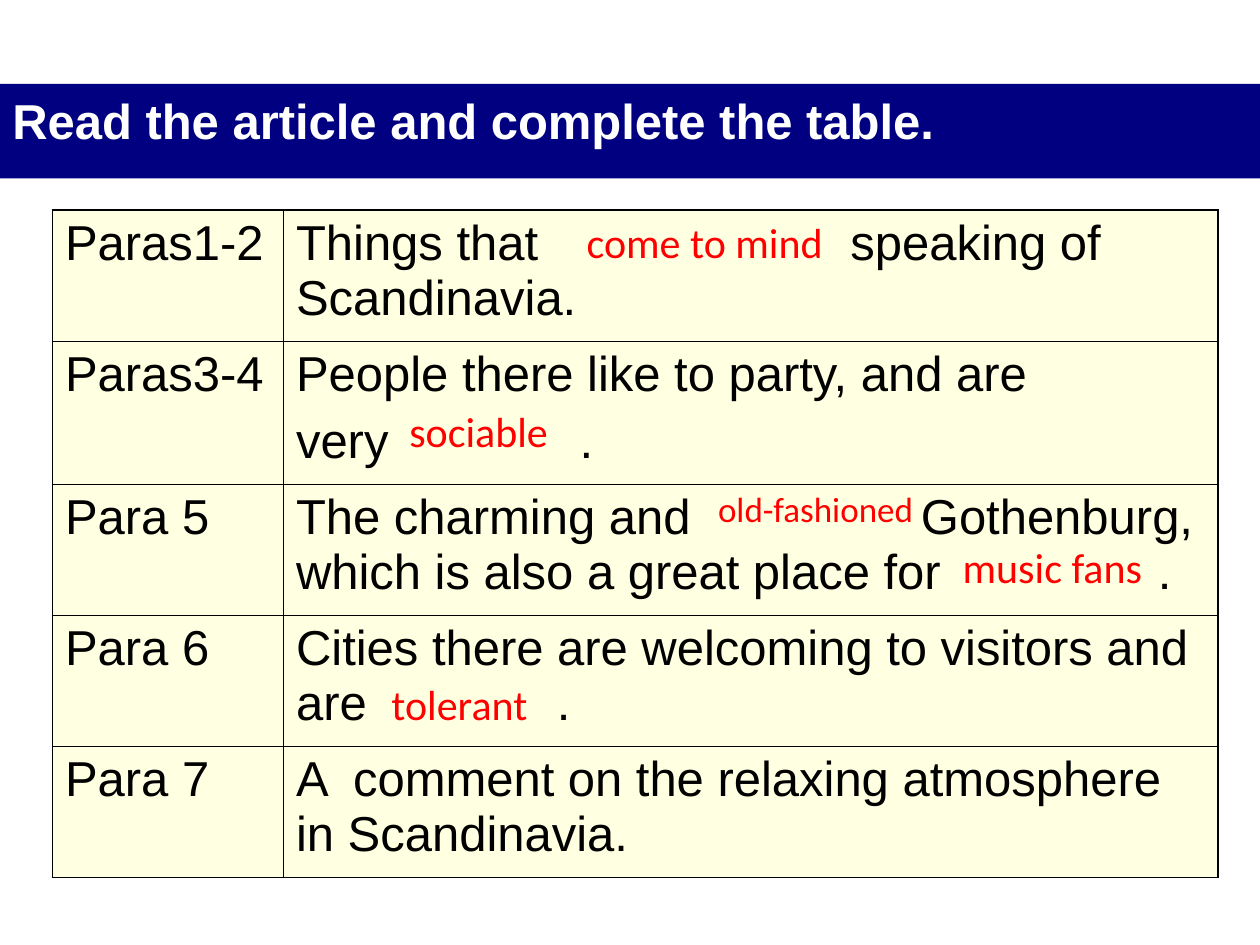
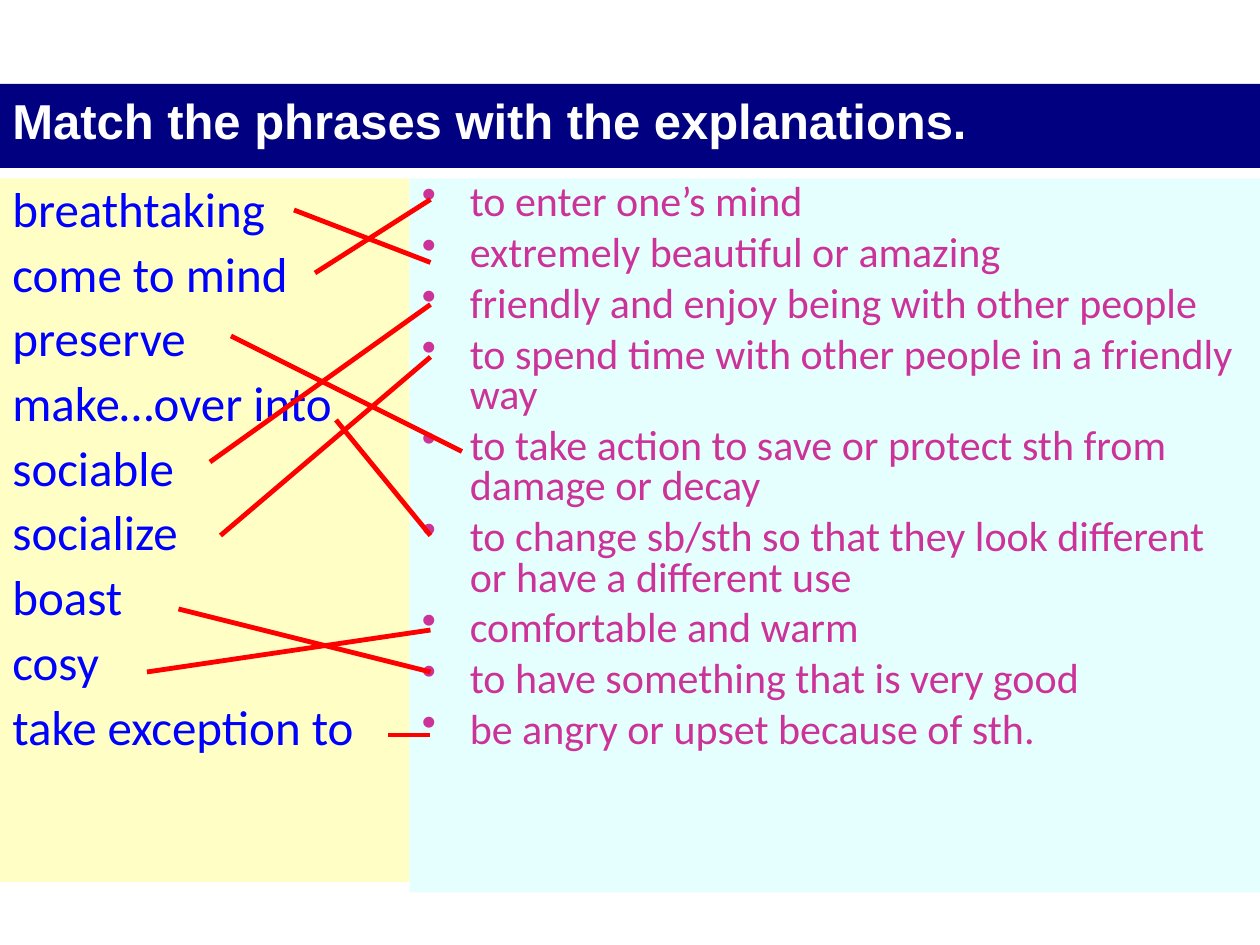
from dataclasses import dataclass

from lxml import etree
from pptx import Presentation
from pptx import util as u
from pptx.dml import color
from pptx.enum import shapes, text
from pptx.oxml import ns


@dataclass(frozen=True)
class Theme:
    navy: str = "000080"
    white: str = "FFFFFF"
    black: str = "000000"
    cream: str = "FFFFC5"
    ice: str = "E5FFFF"
    blue: str = "0000FF"
    plum: str = "CC3399"
    red: str = "FF0000"
    heading_face: str = "Arial"
    body_face: str = "Calibri"
    large: int = 28
    medium: int = 24
    small: int = 20
    match_line: float = 2.75
    outer_border: float = 1.08
    inner_border: float = 0.45


theme = Theme()
COLUMNS, ROWS = 120, 90
UNIT = u.Inches(10) // COLUMNS


def write(frame, lines, *, size=theme.large, ink=theme.black, face=theme.body_face,
          bold=False, gap=0, spacing=None, hang=0, bullet=None, stops=(), wrap=True):
    frame.word_wrap = wrap
    frame.vertical_anchor = text.MSO_ANCHOR.TOP
    for number, line in enumerate(lines):
        para = frame.add_paragraph() if number else frame.paragraphs[0]
        props = para._p.get_or_add_pPr()
        if hang:
            props.set("marL", str(u.Inches(hang)))
            props.set("indent", str(-u.Inches(hang)))
        if bullet:
            tint = etree.SubElement(props, ns.qn("a:buClr"))
            etree.SubElement(tint, ns.qn("a:srgbClr"), val=ink)
            etree.SubElement(props, ns.qn("a:buChar"), char=bullet)
        if stops:
            tabs = etree.SubElement(props, ns.qn("a:tabLst"))
            for stop in stops:
                etree.SubElement(tabs, ns.qn("a:tab"), pos=str(u.Inches(stop)), algn="l")
        para.alignment = text.PP_ALIGN.LEFT
        para.space_before = u.Pt(gap if number else 0)
        if spacing:
            para.line_spacing = spacing
        for piece in filter(None, line.replace("\t", "|\t|").split("|")):
            span = para.add_run()
            span.text = piece
            span.font.size = u.Pt(size)
            span.font.name = face
            span.font.bold = bold
            span.font.underline = piece == "\t"
            span.font.color.rgb = color.RGBColor.from_string(ink)


def panel(page, left, top, width, height, fill):
    box = page.shapes.add_shape(shapes.MSO_SHAPE.RECTANGLE,
                                *(int(side * UNIT) for side in (left, top, width, height)))
    box.shadow.inherit = False
    box.fill.solid()
    box.fill.fore_color.rgb = color.RGBColor.from_string(fill)
    box.line.fill.background()
    return box.text_frame


deck = Presentation()
deck.slide_width, deck.slide_height = COLUMNS * UNIT, ROWS * UNIT
pages = []
for title, band_rows in (("Read the article and complete the table.", 9),
                         ("Match the phrases with the explanations.", 8)):
    page = deck.slides.add_slide(deck.slide_layouts[6])
    write(panel(page, 0, 8, COLUMNS, band_rows, theme.navy), [title],
          ink=theme.white, face=theme.heading_face, bold=True)
    pages.append(page)
table_page, match_page = pages

summary = [
    ("Paras1-2", ["Things that \tspeaking of Scandinavia."], [4.4], 12.5),
    ("Paras3-4", ["People there like to party, and are", "very \t."], [2.25], 13.6),
    ("Para 5", ["The charming and\tGothenburg, which is also a great place for\t."],
     [4.96, 6.84], 12.5),
    ("Para 6", ["Cities there are welcoming to visitors and are\t."], [2.07], 12.5),
    ("Para 7", ["A  comment on the relaxing atmosphere in Scandinavia."], [], 12.5),
]
widths = (22, 89)
table = table_page.shapes.add_table(
    len(summary), len(widths), 5 * UNIT, 20 * UNIT, sum(widths) * UNIT,
    int(sum(entry[-1] for entry in summary) * UNIT)).table
table.first_row = table.horz_banding = False
for column, width in zip(table.columns, widths):
    column.width = width * UNIT
for row, (label, lines, stops, height) in enumerate(summary):
    table.rows[row].height = int(height * UNIT)
    for column, (words, tabs) in enumerate((([label], ()), (lines, stops))):
        cell = table.cell(row, column)
        props = cell._tc.get_or_add_tcPr()
        edges = {"L": column == 0, "R": column == len(widths) - 1,
                 "T": row == 0, "B": row == len(summary) - 1}
        for edge, outer in edges.items():
            weight = theme.outer_border if outer else theme.inner_border
            border = etree.SubElement(props, ns.qn(f"a:ln{edge}"), w=str(u.Pt(weight)))
            paint = etree.SubElement(border, ns.qn("a:solidFill"))
            etree.SubElement(paint, ns.qn("a:srgbClr"), val=theme.black)
        cell.fill.solid()
        cell.fill.fore_color.rgb = color.RGBColor.from_string(theme.cream)
        tint = props.find(ns.qn("a:solidFill")).find(ns.qn("a:srgbClr"))
        etree.SubElement(tint, ns.qn("a:alpha"), val="50000")
        write(cell.text_frame, words, face=theme.heading_face, gap=7, stops=tabs)

answers = [
    ("come to mind", 54.7, 20, 25, theme.medium),
    ("sociable", 37.8, 38, 15.6, theme.medium),
    ("old-fashioned", 67.2, 45.8, 21, theme.small),
    ("music fans", 90.5, 51, 19.6, theme.medium),
    ("tolerant", 36.1, 64, 15.5, theme.medium),
]
for answer, left, top, width, size in answers:
    box = table_page.shapes.add_textbox(int(left * UNIT), int(top * UNIT),
                                        int(width * UNIT), int(size / 4 * UNIT))
    box.text_frame.auto_size = text.MSO_AUTO_SIZE.SHAPE_TO_FIT_TEXT
    write(box.text_frame, [answer], size=size, ink=theme.red, wrap=False)

phrases = ["breathtaking", "come to mind", "preserve", "make…over into", "sociable",
           "socialize", "boast", "cosy", "take exception to"]
meanings = [
    "to enter one’s mind",
    "extremely beautiful or amazing",
    "friendly and enjoy being with other people",
    "to spend time with other people in a friendly way",
    "to take action to save or protect sth from damage or decay",
    "to change sb/sth so that they look different or have a different use",
    "comfortable and warm",
    "to have something that is very good",
    "be angry or upset because of sth.",
]
split = 39
write(panel(match_page, 0, 17, split, 67, theme.cream), phrases,
      ink=theme.blue, gap=7, spacing=u.Pt(30), hang=0.38)
write(panel(match_page, split, 17, COLUMNS - split, 68, theme.ice), meanings,
      size=theme.medium, ink=theme.plum, gap=6, spacing=0.8, hang=0.38, bullet="•")

matches = [
    (28, 20, 41, 25), (30, 26, 41, 19), (22, 32, 44, 43),
    (32, 40, 41, 51), (20, 44, 41, 29), (21, 51, 41, 34),
    (17, 58, 41, 64), (14, 64, 41, 60), (37, 70, 41, 70),
]
for ends in matches:
    match = match_page.shapes.add_connector(shapes.MSO_CONNECTOR.STRAIGHT,
                                            *(end * UNIT for end in ends))
    match.line.color.rgb = color.RGBColor.from_string(theme.red)
    match.line.width = u.Pt(theme.match_line)
    etree.SubElement(match._element.spPr, ns.qn("a:effectLst"))

deck.save("out.pptx")
